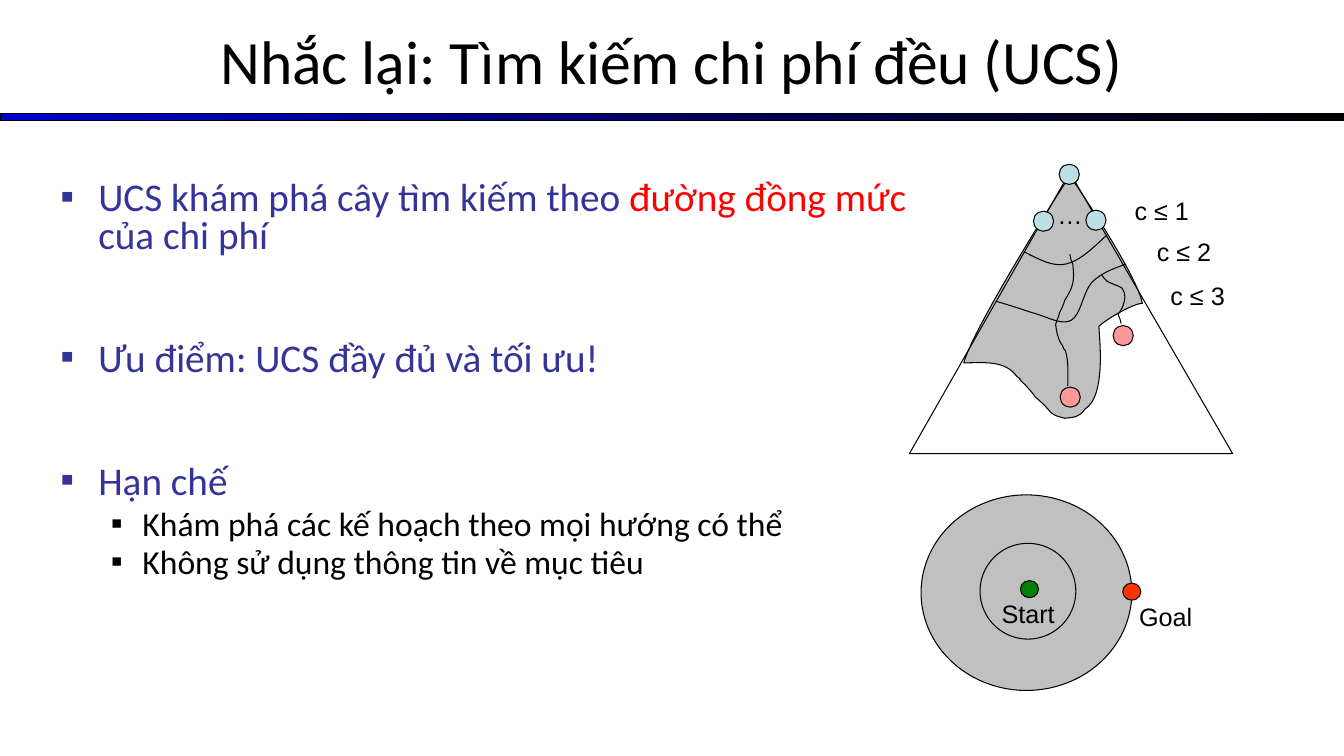
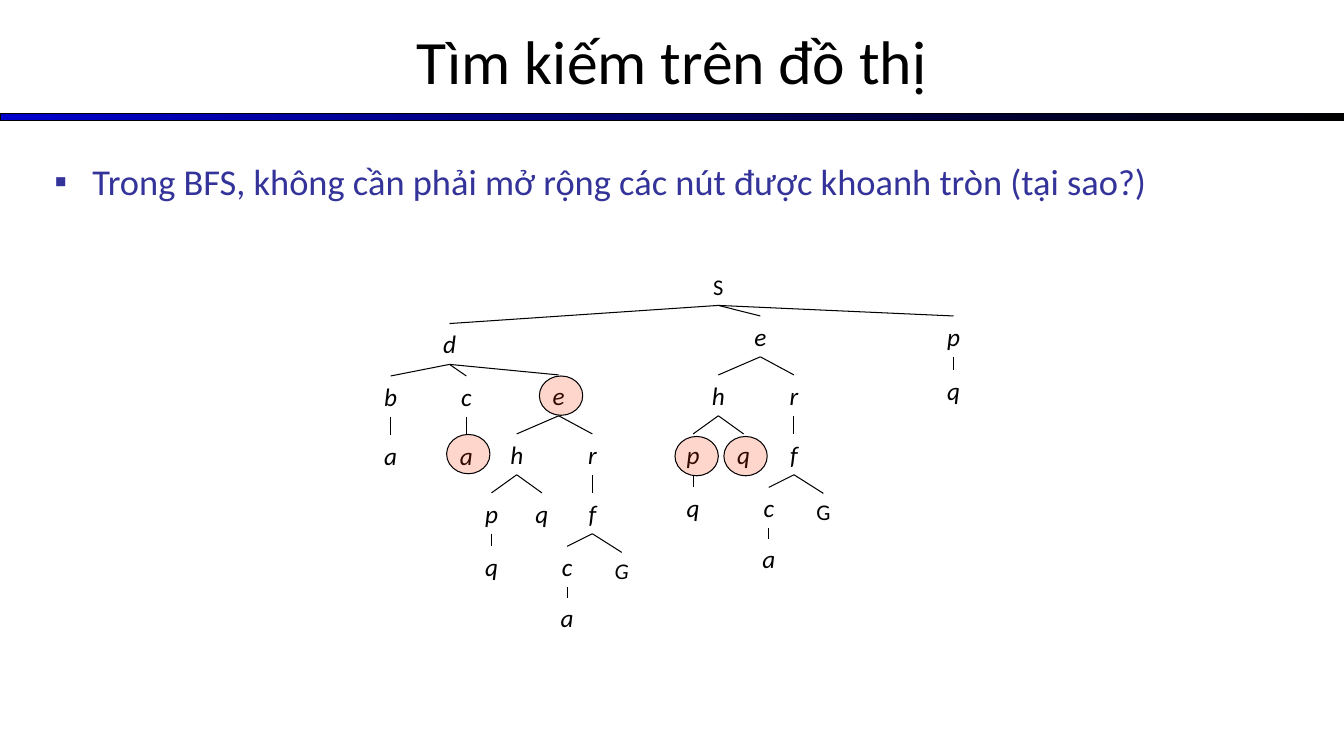
from dataclasses import dataclass
from typing import NamedTuple, Optional

from lxml.etree import SubElement
from pptx import Presentation
from pptx.dml.color import RGBColor
from pptx.enum.shapes import MSO_CONNECTOR, MSO_SHAPE
from pptx.enum.text import MSO_ANCHOR, MSO_AUTO_SIZE, PP_ALIGN
from pptx.oxml.ns import qn
from pptx.util import Inches, Pt

# Shared style: the slide is a grid of 1333 columns by 750 rows
CELL = Inches(0.01)
COLUMNS, ROWS = 1333, 750
TREE_COLUMN = 25 / 3

BLACK = RGBColor(0, 0, 0)
WHITE = RGBColor(255, 255, 255)
INDIGO = RGBColor(0x33, 0x33, 0x99)
RED = RGBColor(0xFF, 0, 0)
BAND_BLUE = RGBColor(0, 0, 0xCC)
GRAY = RGBColor(0xC0, 0xC0, 0xC0)
PALE_BLUE = RGBColor(0xBB, 0xE0, 0xE3)
PINK = RGBColor(0xFF, 0x99, 0x99)
GREEN = RGBColor(0, 0x80, 0)
ORANGE = RGBColor(0xFF, 0x33, 0)

TEXT_FONT, LABEL_FONT = "Calibri", "Arial"
LINE_WIDTH = Pt(0.75)


class Box(NamedTuple):
    left: float
    top: float
    width: float
    height: float


class Span(NamedTuple):
    text: str
    color: RGBColor = INDIGO


class Item(NamedTuple):
    spans: tuple
    size: float = 28
    level: int = 0
    before: float = 0
    spacing: float = 0.8


class Dot(NamedTuple):
    box: Box
    color: Optional[RGBColor]


class Label(NamedTuple):
    text: str
    box: Box


class Outline(NamedTuple):
    points: tuple
    curved: bool = True
    fill: Optional[RGBColor] = None
    closed: bool = False


@dataclass(frozen=True)
class Node:
    """A tree node, placed relative to its parent."""
    label: str
    column: float
    row: float
    children: tuple = ()
    italic: bool = True


TITLE_BOX = Box(0, -3, COLUMNS, 125)
BAND_BOX = Box(0.5, 113, COLUMNS, 7)
INDENTS = ((37.5, -37.5), (81.25, -31.25))


def cells(count: float) -> int:
    return round(count * CELL)


def emu(box: Box) -> tuple:
    return tuple(cells(length) for length in box)


def place(shape, box: Box) -> None:
    shape.left, shape.top, shape.width, shape.height = emu(box)


# Drawing helpers
def style_shape(shape, fill: Optional[RGBColor]) -> None:
    shape.shadow.inherit = False
    shape.line.color.rgb = BLACK
    shape.line.width = LINE_WIDTH
    if fill is None:
        shape.fill.background()
    else:
        shape.fill.solid()
        shape.fill.fore_color.rgb = fill


def add_oval(page, box: Box, fill: Optional[RGBColor], opacity: int = 100) -> None:
    oval = page.shapes.add_shape(MSO_SHAPE.OVAL, *emu(box))
    style_shape(oval, fill)
    if opacity < 100:
        color = oval.element.spPr.find(qn("a:solidFill")).find(qn("a:srgbClr"))
        SubElement(color, qn("a:alpha")).set("val", str(opacity * 1000))


def add_label(page, text: str, box: Box, size: float = 18, font: str = LABEL_FONT,
              italic: bool = False, align=PP_ALIGN.LEFT) -> None:
    frame = page.shapes.add_textbox(*emu(box)).text_frame
    frame.word_wrap = True
    frame.text = text
    para = frame.paragraphs[0]
    para.alignment = align
    style = para.runs[0].font
    style.name, style.size, style.italic = font, Pt(size), italic
    style.color.rgb = BLACK


def add_line(page, start: tuple, end: tuple) -> None:
    ends = [cells(value) for value in (*start, *end)]
    line = page.shapes.add_connector(MSO_CONNECTOR.STRAIGHT, *ends)
    line.line.color.rgb = BLACK
    line.line.width = LINE_WIDTH
    SubElement(line.element.spPr, qn("a:effectLst"))


def bend_segments(shape) -> None:
    """Turn every three straight segments into one cubic curve."""
    for outline in shape.element.spPr.iter(qn("a:path")):
        segments = outline.findall(qn("a:lnTo"))
        for first in range(0, len(segments), 3):
            curve = outline.makeelement(qn("a:cubicBezTo"), {})
            segments[first].addprevious(curve)
            for segment in segments[first:first + 3]:
                curve.append(segment[0])
                outline.remove(segment)


def add_outline(page, outline: Outline) -> None:
    start, *others = [(cells(x), cells(y)) for x, y in outline.points]
    builder = page.shapes.build_freeform(*start, scale=1.0)
    builder.add_line_segments(others, close=False)
    if outline.closed and not outline.curved:
        builder.add_line_segments([start], close=True)
    shape = builder.convert_to_shape()
    if outline.curved:
        bend_segments(shape)
    style_shape(shape, outline.fill)


# Title, list and band
def add_band(page, master) -> None:
    band = page.shapes.add_shape(MSO_SHAPE.RECTANGLE, *emu(BAND_BOX))
    style_shape(band, BLACK)
    band.fill.gradient()
    band.fill.gradient_angle = 0
    for stop, position, color in zip(band.fill.gradient_stops, (0, 1), (BAND_BLUE, BLACK)):
        stop.position = position
        stop.color.rgb = color
    band.element.nvSpPr.cNvPr.set("id", "100")
    master.shapes.element.append(band.element)


def add_bullet(para, item: Item) -> None:
    margin, indent = INDENTS[item.level]
    props = para._p.get_or_add_pPr()
    props.set("marL", str(cells(margin)))
    props.set("indent", str(cells(indent)))
    color = SubElement(props, qn("a:buClr"))
    SubElement(color, qn("a:srgbClr")).set("val", str(item.spans[0].color))
    SubElement(props, qn("a:buFont")).set("typeface", LABEL_FONT)
    SubElement(props, qn("a:buChar")).set("char", "▪")


def fill_body(body, box: Box, items: tuple) -> None:
    place(body, box)
    frame = body.text_frame
    frame.auto_size = MSO_AUTO_SIZE.NONE
    for number, item in enumerate(items):
        para = frame.add_paragraph() if number else frame.paragraphs[0]
        para.level = item.level
        add_bullet(para, item)
        para.line_spacing = item.spacing
        para.space_before = Pt(item.before)
        for span in item.spans:
            run = para.add_run()
            run.text = span.text
            run.font.name, run.font.size = TEXT_FONT, Pt(item.size)
            run.font.color.rgb = span.color


def add_page(deck, title: str, body_box: Box, items: tuple):
    page = deck.slides.add_slide(deck.slide_layouts[1])
    frame = page.shapes.title.text_frame
    frame.text = title
    frame.auto_size = MSO_AUTO_SIZE.NONE
    frame.vertical_anchor = MSO_ANCHOR.MIDDLE
    frame.paragraphs[0].alignment = PP_ALIGN.CENTER
    style = frame.paragraphs[0].runs[0].font
    style.name, style.size = TEXT_FONT, Pt(44)
    style.color.rgb = BLACK
    fill_body(page.placeholders[1], body_box, items)
    return page


# Uniform cost search: contents
UCS_ITEMS = (
    Item((Span("UCS khám phá cây tìm kiếm theo "), Span("đường đồng mức", RED),
          Span(" của chi phí"))),
    Item((Span("Ưu điểm: UCS đầy đủ và tối ưu!"),), before=61),
    Item((Span("Hạn chế"),), before=61),
    Item((Span("Khám phá các kế hoạch theo mọi hướng có thể", BLACK),), 24, 1, 5.7),
    Item((Span("Không sử dụng thông tin về mục tiêu", BLACK),), 24, 1, 4),
)
EXPLORED_AREA = Outline((
    (1067, 183), (1080, 202), (1129, 277), (1133, 301), (1124, 301), (1095, 318), (1090, 324),
    (1090, 332), (1098, 393), (1076, 406), (1071, 414), (1065, 414), (1056, 415),
    (1049, 413), (1047, 413), (1042, 409), (1039, 405), (1032, 398), (1027, 394),
    (1021, 386), (1024, 390), (1017, 382), (1004, 370), (1017, 379), (1009, 374),
    (997, 357), (976, 360), (956, 360), (964, 329), (1036, 213), (1055, 184),
    (1073, 155), (1064, 183), (1067, 183)), fill=GRAY, closed=True)
SEARCH_TREE = Outline(((902, 450), (1222.5, 450), (1061, 171)), curved=False, closed=True)
LONG_PATH = Outline((
    (1061, 252), (1062, 255), (1062, 259), (1064, 262), (1066, 280), (1064, 285), (1056, 298),
    (1055, 302), (1053, 306), (1051, 310), (1049, 317), (1051, 311), (1049, 316),
    (1048, 318), (1047, 322), (1047, 322), (1048, 329), (1049, 337), (1054, 343),
    (1055, 344), (1055, 345), (1055, 346), (1056, 347), (1057, 348), (1057, 349),
    (1060, 360), (1059, 370), (1059, 383)))
SHORT_PATH = Outline((
    (1093, 273), (1094, 275), (1096, 277), (1098, 279), (1103, 282), (1109, 283), (1113, 286),
    (1117, 292), (1116, 297), (1114, 303), (1113, 306), (1109, 312), (1109, 312),
    (1110, 315), (1112, 318), (1112, 321)))
LOWER_CONTOUR = Outline((
    (1117, 262), (1105, 266), (1092, 271), (1083, 280), (1074, 290), (1072, 313), (1062, 318),
    (1052, 323), (1036, 313), (1023, 310), (1011, 306), (999, 302), (988, 299)))
UPPER_CONTOUR = Outline((
    (1098, 233), (1084, 246), (1071, 259), (1057, 262), (1044, 265), (1030, 257), (1016, 250)))
OUTLINES = (EXPLORED_AREA, SEARCH_TREE, LONG_PATH, SHORT_PATH, LOWER_CONTOUR, UPPER_CONTOUR)
GOAL_AREA = Dot(Box(913.5, 491, 209, 194), GRAY)
DOTS = (
    *(Dot(Box(left, top, 20, 20), color) for left, top, color in (
        (1050.5, 163, PALE_BLUE), (1025, 209.5, PALE_BLUE), (1077, 208.5, PALE_BLUE),
        (1104, 323, PINK), (1051.5, 384, PINK))),
    Dot(Box(972, 539, 95, 95), None),
    Dot(Box(1012, 576, 18, 17), GREEN),
    Dot(Box(1113.5, 578.5, 18, 17), ORANGE),
)
LABELS = (
    Label("…", Box(1039, 193, 30, 40)),
    Label("c ≤ 1", Box(1115.5, 188.5, 90, 40)),
    Label("c ≤ 2", Box(1137.5, 230, 90, 40)),
    Label("c ≤ 3", Box(1151, 273, 90, 40)),
    Label("Start", Box(983.5, 589, 100, 40)),
    Label("Goal", Box(1120, 592, 100, 40)),
)


# Graph search: contents
def branch_e(column: float, row: float, goal_italic: bool) -> Node:
    goal_branch = Node("f", 0, 58.5, (
        Node("c", -3, 53, (Node("a", 0, 51),)), Node("G", 3.5, 59, italic=goal_italic)))
    return Node("e", column, row, (
        Node("h", -5, 58.5, (Node("p", -3, 58.5, (Node("q", 0, 53),)), Node("q", 3, 58.5))),
        Node("r", 4, 58.5, (goal_branch,))))


BRANCH_D = Node("d", -32, 55, (
    Node("b", -7, 52, (Node("a", 0, 59),)),
    Node("c", 2, 52, (Node("a", 0, 59),)),
    branch_e(13, 51, True)))
TREE = Node("S", 0, 0, (
    BRANCH_D, branch_e(5, 47.5, False), Node("p", 28, 47.5, (Node("q", 0, 54),))), italic=False)
ROOT_X, ROOT_TOP = 712.5, 266
CIRCLES = tuple(Box(left, top, 43, 39)
                for left, top in ((535, 373), (669.5, 433), (443, 431), (718, 433)))
GRAPH_ITEMS = (Item((Span("Trong BFS, không cần phải mở rộng các nút được khoanh tròn "
                          "(tại sao?)"),), size=26, spacing=1),)


def draw_node(page, node: Node, x: float, top: float) -> None:
    size, width, height = (16, 83, 37) if node.label.isupper() else (18, 42, 40.5)
    add_label(page, node.label, Box(x - width / 2, top, width, height), size,
              TEXT_FONT, node.italic, PP_ALIGN.CENTER)
    for child in node.children:
        child_x, child_top = x + child.column * TREE_COLUMN, top + child.row
        add_line(page, (x, top + height), (child_x, child_top))
        draw_node(page, child, child_x, child_top)


def main() -> None:
    deck = Presentation()
    deck.slide_width, deck.slide_height = cells(COLUMNS), cells(ROWS)
    background = deck.slide_master.background.fill
    background.solid()
    background.fore_color.rgb = WHITE
    place(deck.slide_layouts[1].placeholders[0], TITLE_BOX)

    page = add_page(deck, "Nhắc lại: Tìm kiếm chi phí đều (UCS)",
                    Box(50, 175, 869, 495), UCS_ITEMS)
    add_band(page, deck.slide_master)
    add_oval(page, GOAL_AREA.box, GOAL_AREA.color)
    for outline in OUTLINES:
        add_outline(page, outline)
    for dot in DOTS:
        add_oval(page, dot.box, dot.color)
    for label in LABELS:
        add_label(page, label.text, label.box)

    page = add_page(deck, "Tìm kiếm trên đồ thị", Box(44, 153, 1244, 517), GRAPH_ITEMS)
    draw_node(page, TREE, ROOT_X, ROOT_TOP)
    for circle in CIRCLES:
        add_oval(page, circle, ORANGE, opacity=20)
    deck.save("out.pptx")


if __name__ == "__main__":
    main()
